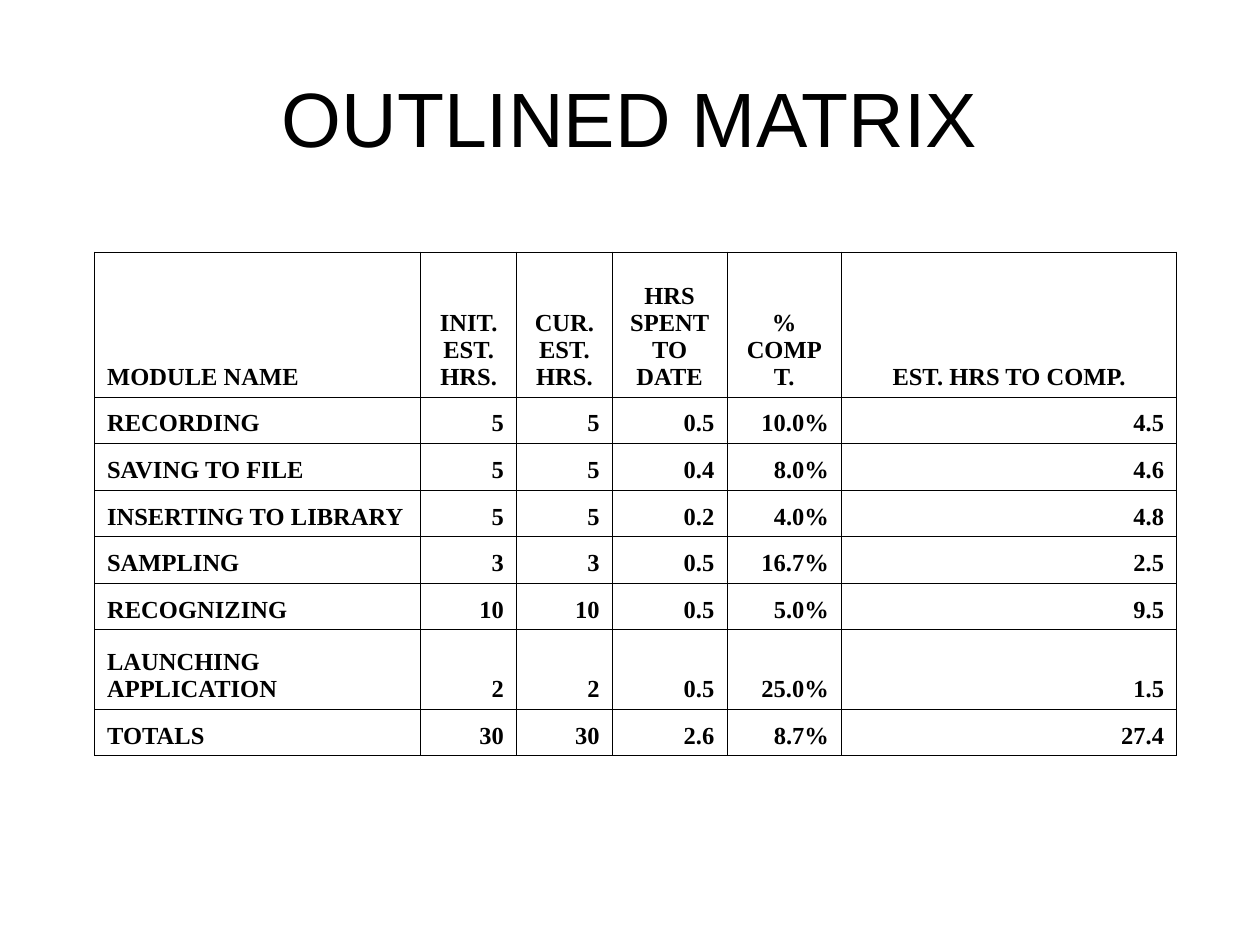
"""Build the outlined matrix slide: a title above a table of module hours."""
from dataclasses import astuple, dataclass

from lxml.etree import SubElement
from pptx import Presentation
from pptx.dml.color import RGBColor
from pptx.enum.text import MSO_ANCHOR as Anchor, PP_ALIGN as Align
from pptx.oxml.ns import qn
from pptx.slide import Slide
from pptx.table import _Cell as Cell
from pptx.text.text import TextFrame
from pptx.util import Inches, Pt

BLACK = RGBColor(0x00, 0x00, 0x00)
BORDER_WIDTH = Pt(0.45)
COLUMN_WIDTHS = (2.59, 0.76, 0.76, 0.91, 0.91, 2.66)
HEADER_HEIGHT, LINE_HEIGHT, TWO_LINE_HEIGHT = 1.15, 0.37, 0.63


@dataclass(frozen=True)
class ModuleRow:
    name: str
    initial: str
    current: str
    spent: str
    complete: str
    remaining: str
    height: float = LINE_HEIGHT

    def texts(self) -> tuple[str, ...]:
        return astuple(self)[:-1]


HEADER = ModuleRow("MODULE NAME", "INIT. EST. HRS.", "CUR. EST. HRS.", "HRS SPENT TO DATE",
                   "% COMPT.", "EST. HRS TO COMP.", HEADER_HEIGHT)
MODULES = (
    ModuleRow("RECORDING", "5", "5", "0.5", "10.0%", "4.5"),
    ModuleRow("SAVING TO FILE", "5", "5", "0.4", "8.0%", "4.6"),
    ModuleRow("INSERTING TO LIBRARY", "5", "5", "0.2", "4.0%", "4.8"),
    ModuleRow("SAMPLING", "3", "3", "0.5", "16.7%", "2.5"),
    ModuleRow("RECOGNIZING", "10", "10", "0.5", "5.0%", "9.5"),
    ModuleRow("LAUNCHING APPLICATION", "2", "2", "0.5", "25.0%", "1.5", TWO_LINE_HEIGHT),
    ModuleRow("TOTALS", "30", "30", "2.6", "8.7%", "27.4"),
)


def write_text(frame: TextFrame, text: str, font_name: str, size: int,
               alignment: Align, bold: bool = False) -> None:
    paragraph = frame.paragraphs[0]
    paragraph.alignment = alignment
    run = paragraph.add_run()
    run.text = text
    run.font.name = font_name
    run.font.size = Pt(size)
    run.font.bold = bold
    run.font.color.rgb = BLACK


def outline_cell(cell: Cell) -> None:
    properties = cell._tc.get_or_add_tcPr()
    for side in ("a:lnL", "a:lnR", "a:lnT", "a:lnB"):
        line = SubElement(properties, qn(side), w=str(int(BORDER_WIDTH)))
        fill = SubElement(line, qn("a:solidFill"))
        SubElement(fill, qn("a:srgbClr"), val=str(BLACK))


def add_title(slide: Slide, text: str) -> None:
    shape = slide.shapes.add_textbox(Inches(0.5), Inches(0.3), Inches(9), Inches(1.25))
    frame = shape.text_frame
    frame.word_wrap = True
    frame.vertical_anchor = Anchor.MIDDLE
    write_text(frame, text, "Arial", 44, Align.CENTER)


def add_matrix(slide: Slide, rows: tuple[ModuleRow, ...]) -> None:
    shape = slide.shapes.add_table(
        len(rows), len(COLUMN_WIDTHS), Inches(0.75), Inches(2),
        Inches(sum(COLUMN_WIDTHS)), Inches(sum(row.height for row in rows)))
    table = shape.table
    table.first_row = table.horz_banding = False
    for column, width in zip(table.columns, COLUMN_WIDTHS):
        column.width = Inches(width)
    for row_index, row in enumerate(rows):
        table.rows[row_index].height = Inches(row.height)
        value_alignment = Align.CENTER if row is HEADER else Align.RIGHT
        for column_index, text in enumerate(row.texts()):
            cell = table.cell(row_index, column_index)
            outline_cell(cell)
            cell.fill.background()
            cell.vertical_anchor = Anchor.BOTTOM
            alignment = value_alignment if column_index else Align.LEFT
            write_text(cell.text_frame, text, "Times New Roman", 14, alignment, bold=True)


def main() -> None:
    presentation = Presentation()
    presentation.slide_width, presentation.slide_height = Inches(10), Inches(7.5)
    slide = presentation.slides.add_slide(presentation.slide_layouts[6])
    add_title(slide, "OUTLINED MATRIX")
    add_matrix(slide, (HEADER, *MODULES))
    presentation.save("out.pptx")


if __name__ == "__main__":
    main()
